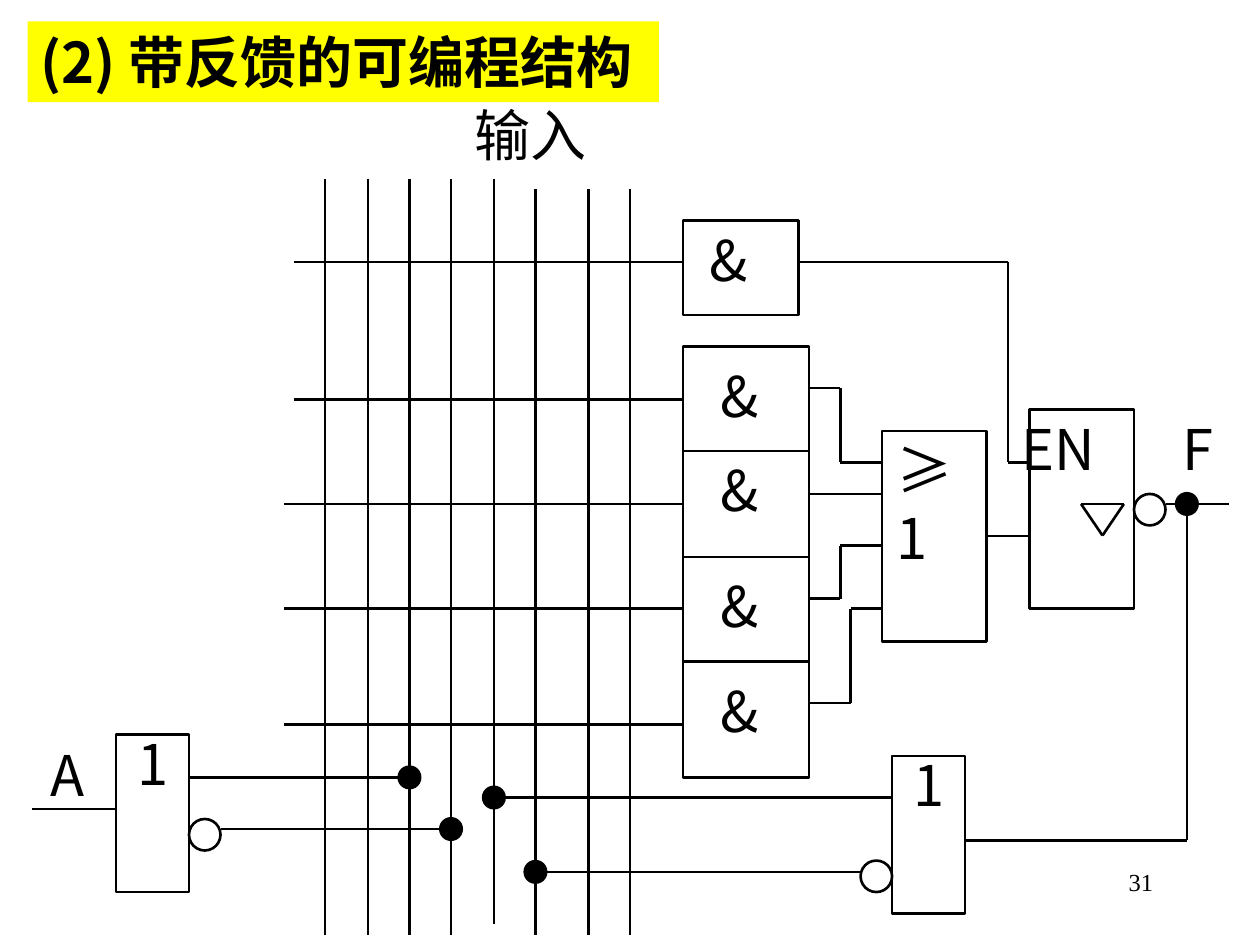
from dataclasses import dataclass

from lxml import etree
from pptx import Presentation
from pptx.dml.color import RGBColor
from pptx.enum.shapes import MSO_CONNECTOR, MSO_SHAPE
from pptx.enum.text import MSO_ANCHOR, MSO_AUTO_SIZE, PP_ALIGN
from pptx.oxml.ns import qn
from pptx.util import Inches, Pt

RECTANGLE, OVAL = MSO_SHAPE.RECTANGLE, MSO_SHAPE.OVAL
STRAIGHT = MSO_CONNECTOR.STRAIGHT
TOP = MSO_ANCHOR.TOP
FIXED_SIZE = MSO_AUTO_SIZE.NONE
LEFT, RIGHT = PP_ALIGN.LEFT, PP_ALIGN.RIGHT
RIGHT_SIDE = 3
BLACK, YELLOW = "000000", "FFFF00"
SANS, SERIF = "Noto Sans CJK SC", "Times New Roman"
LINE_WIDTH = Pt(1.5)
BUBBLE, DOT = 0.25, 0.17


@dataclass
class Box:
    left: float
    top: float
    width: float
    height: float

    @property
    def right(self) -> float:
        return self.left + self.width

    @property
    def middle(self) -> float:
        return self.top + self.height / 2


@dataclass
class Label:
    text: str
    left: float
    top: float
    width: float
    wrap: bool = False


def color(value: str) -> RGBColor:
    return RGBColor.from_string(value)


def place(shape, box: Box) -> None:
    shape.left, shape.top = Inches(box.left), Inches(box.top)
    shape.width, shape.height = Inches(box.width), Inches(box.height)


def format_text(shape, text: str, size: int, font_name: str, wrap: bool, alignment=LEFT):
    frame = shape.text_frame
    frame.text = text
    frame.auto_size = FIXED_SIZE
    frame.word_wrap = wrap
    frame.vertical_anchor = TOP
    # Single-line text gets the whole width to the right edge
    if not wrap:
        frame.margin_right = 0
    paragraph = frame.paragraphs[0]
    paragraph.alignment = alignment
    paragraph.font.size = Pt(size)
    paragraph.font.name = font_name
    paragraph.font.color.rgb = color(BLACK)
    # Chinese glyphs take the East Asian typeface
    for run in paragraph.runs:
        properties = run._r.get_or_add_rPr()
        etree.SubElement(properties, qn("a:ea")).set("typeface", font_name)
    return paragraph


def draw_shape(slide, kind, box: Box, fill: str = ""):
    shape = slide.shapes.add_shape(
        kind, Inches(box.left), Inches(box.top), Inches(box.width), Inches(box.height))
    shape.shadow.inherit = False
    if fill:
        shape.fill.solid()
        shape.fill.fore_color.rgb = color(fill)
    else:
        shape.fill.background()
    shape.line.color.rgb = color(BLACK)
    shape.line.width = LINE_WIDTH
    return shape


def draw_wire(slide, *points: tuple[float, float]) -> list:
    """Draw one straight connector between each two neighbouring points."""
    connectors = []
    for start, end in zip(points, points[1:]):
        connector = slide.shapes.add_connector(
            STRAIGHT, *(Inches(value) for value in start + end))
        connector.line.color.rgb = color(BLACK)
        connector.line.width = LINE_WIDTH
        etree.SubElement(connector._element.spPr, qn("a:effectLst"))
        connectors.append(connector)
    return connectors


def draw_label(slide, label: Label) -> None:
    text_box = slide.shapes.add_textbox(
        Inches(label.left), Inches(label.top), Inches(label.width), Inches(0.64))
    format_text(text_box, label.text, 32, SANS, label.wrap)


AND_STACK = Box(5.42, 2.75, 1, 3.42)
ENABLE_AND = Box(5.42, 1.75, 0.92, 0.75)
OR_GATE = Box(7, 3.42, 0.83, 1.67)
DRIVER = Box(8.17, 3.25, 0.83, 1.58)
INPUT_BUFFER = Box(0.92, 5.83, 0.58, 1.25)
FEEDBACK_BUFFER = Box(7.08, 6, 0.58, 1.25)

# Vertical array lines: x, top, bottom
COLUMNS = [(2.58, 1.42, 7.42), (2.92, 1.42, 7.42), (3.25, 1.42, 7.42), (3.58, 1.42, 7.42),
           (3.92, 1.42, 7.33), (4.25, 1.5, 7.42), (4.67, 1.5, 7.42), (5, 1.5, 7.42)]
# Product term lines: left end, y
ROWS = [(2.33, 2.08), (2.33, 3.17), (2.25, 4), (2.25, 4.83), (2.25, 5.75)]
# AND outputs into the OR gate: y at AND, x of the bend, y at OR
OR_INPUTS = [(3.08, 6.67, 3.67), (4.75, 6.67, 4.33), (5.58, 6.75, 4.83)]

WIRES = [
    # Enable path to the driver
    [(ENABLE_AND.right, 2.08), (8, 2.08), (8, 3.67), (DRIVER.left, 3.67)],
    # Tri-state symbol
    [(8.58, 4), (8.92, 4), (8.75, 4.25), (8.58, 4)],
    # Output F and its feedback
    [(DRIVER.right + BUBBLE, 4), (9.75, 4)],
    [(9.42, 4), (9.42, 6.67), (FEEDBACK_BUFFER.right, 6.67)],
    [(FEEDBACK_BUFFER.left, 6.33), (3.92, 6.33)],
    [(FEEDBACK_BUFFER.left - BUBBLE, 6.92), (4.25, 6.92)],
    # Input A, true and inverted
    [(0.25, 6.42), (INPUT_BUFFER.left, 6.42)],
    [(INPUT_BUFFER.right, 6.17), (3.25, 6.17)],
    [(INPUT_BUFFER.right + BUBBLE, 6.58), (3.58, 6.58)],
]

BUBBLES = [(DRIVER.right, 3.92), (INPUT_BUFFER.right, 6.5),
           (FEEDBACK_BUFFER.left - BUBBLE, 6.83)]
JUNCTIONS = [(3.25, 6.17), (3.58, 6.58), (3.92, 6.33), (4.25, 6.92), (9.42, 4)]

LABELS = [
    Label("输入", 3.67, 0.75, 1.5, True),
    Label("A", 0.3, 5.83, 0.48),
    Label("F", 9.29, 3.24, 0.43),
    Label("EN", 8.01, 3.24, 0.78),
    Label("≥1", 7.02, 3.41, 0.83, True),
    Label("1", 0.99, 5.74, 0.45),
    Label("1", 7.15, 5.91, 0.45),
    Label("&", 5.53, 1.74, 0.52),
    *(Label("&", 5.62, top, 0.52) for top in (2.82, 3.57, 4.49, 5.32)),
]


def main() -> None:
    presentation = Presentation()
    presentation.slide_width, presentation.slide_height = Inches(10), Inches(7.5)
    slide = presentation.slides.add_slide(presentation.slide_layouts[5])

    # Title
    title = slide.shapes.title
    place(title, Box(0.22, 0.17, 5.01, 0.64))
    title.fill.solid()
    title.fill.fore_color.rgb = color(YELLOW)
    paragraph = format_text(title, "(2) 带反馈的可编程结构", 32, SANS, False)
    paragraph.font.bold = True
    paragraph.space_before = Pt(8)

    # Gates
    for box in (AND_STACK, ENABLE_AND, DRIVER, INPUT_BUFFER, FEEDBACK_BUFFER):
        draw_shape(slide, RECTANGLE, box)
    or_gate = draw_shape(slide, RECTANGLE, OR_GATE)
    for y in (3.58, 4.42, 5.25):
        draw_wire(slide, (AND_STACK.left, y), (AND_STACK.right, y))

    # Programmable array
    for x, top, bottom in COLUMNS:
        draw_wire(slide, (x, top), (x, bottom))
    for left, y in ROWS:
        draw_wire(slide, (left, y), (AND_STACK.left, y))

    # Connections between gates
    for start_y, bend_x, end_y in OR_INPUTS:
        draw_wire(slide, (AND_STACK.right, start_y), (bend_x, start_y),
                  (bend_x, end_y), (OR_GATE.left, end_y))
    draw_wire(slide, (AND_STACK.right, 3.92), (OR_GATE.left, 3.92))
    or_output = draw_wire(
        slide, (OR_GATE.right, OR_GATE.middle), (DRIVER.left, OR_GATE.middle))[0]
    or_output.begin_connect(or_gate, RIGHT_SIDE)
    for points in WIRES:
        draw_wire(slide, *points)

    # Inversion bubbles and junction dots
    for left, top in BUBBLES:
        draw_shape(slide, OVAL, Box(left, top, BUBBLE, BUBBLE))
    for x, y in JUNCTIONS:
        draw_shape(slide, OVAL, Box(x - DOT / 2, y - DOT / 2, DOT, DOT), BLACK)

    # Labels and page number
    for label in LABELS:
        draw_label(slide, label)
    page_number = slide.shapes.add_textbox(Inches(7.17), Inches(6.83), Inches(2.08), Inches(0.5))
    format_text(page_number, "31", 14, SERIF, True, RIGHT)

    presentation.save("out.pptx")


if __name__ == "__main__":
    main()
